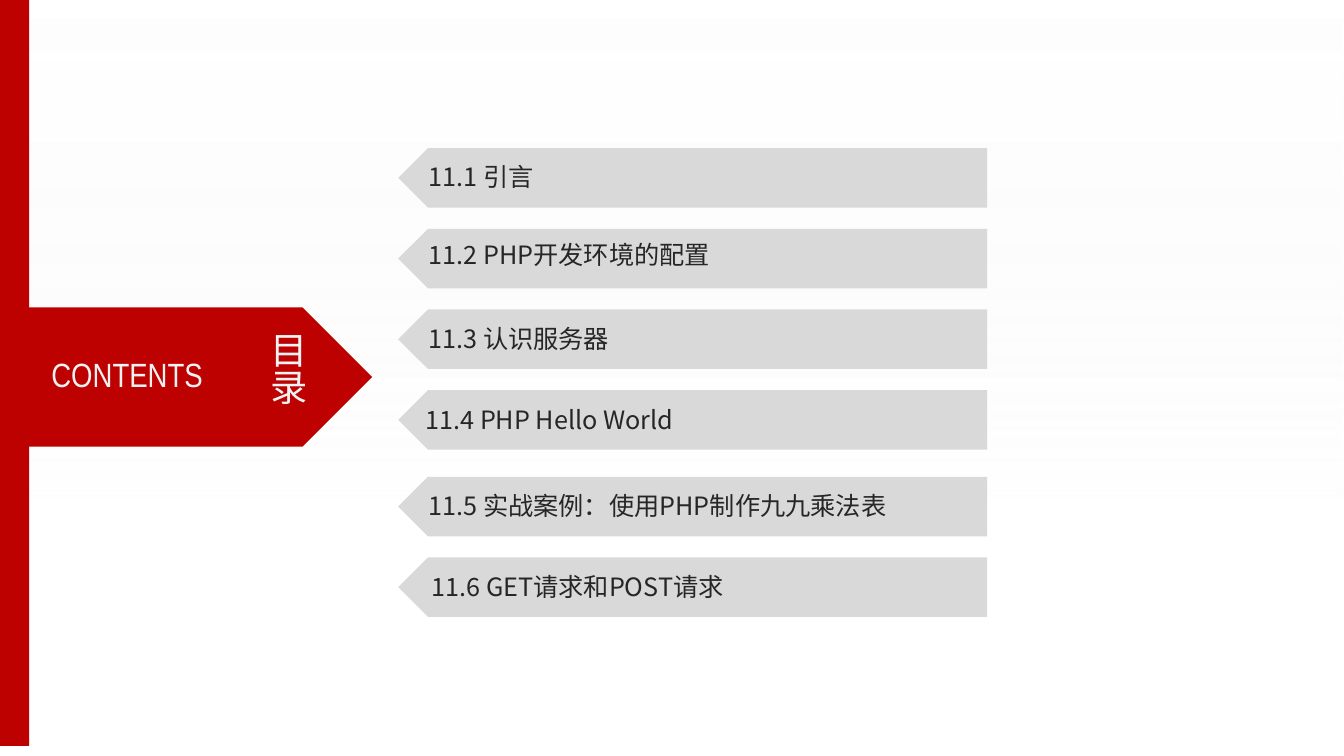
import pptx
import pptx.util
import pptx.dml.color
import pptx.enum.shapes
import pptx.enum.text
import pptx.oxml.ns
from lxml import etree

Inches = pptx.util.Inches
MSO_SHAPE = pptx.enum.shapes.MSO_SHAPE
ANCHOR = pptx.enum.text.MSO_ANCHOR
ALIGN = pptx.enum.text.PP_ALIGN
qn = pptx.oxml.ns.qn

COLORS = {"white": "FFFFFF", "pale": "F2F2F2", "red": "BD0000",
          "bar": "D9D9D9", "ink": "262626"}
CJK = "Noto Sans CJK SC"

# Heading, bar top, text left and text top, measured from the list's corner
CHAPTERS = [
    ("11.1 引言", 0, 0.3, 0.13),
    ("11.2 PHP开发环境的配置", 0.8, 0.3, 0.9),
    ("11.3 认识服务器", 1.6, 0.3, 1.74),
    ("11.4 PHP Hello World", 2.4, 0.27, 2.54),
    ("11.5 实战案例：使用PHP制作九九乘法表", 3.26, 0.3, 3.39),
    ("11.6 GET请求和POST请求", 4.06, 0.33, 4.2),
]


def rgb(name):
    return pptx.dml.color.RGBColor.from_string(COLORS[name])


def add_block(s, kind, x, y, w, h, color):
    sp = s.shapes.add_shape(kind, Inches(x), Inches(y), Inches(w), Inches(h))
    sp.shadow.inherit = False
    sp.line.fill.background()
    sp.fill.solid()
    sp.fill.fore_color.rgb = rgb(color)
    return sp


def add_label(s, text, x, y, w, h, size, font, color, inset=(0, 0), anchor=ANCHOR.MIDDLE):
    tf = s.shapes.add_textbox(Inches(x), Inches(y), Inches(w), Inches(h)).text_frame
    tf.word_wrap = True
    tf.vertical_anchor = anchor
    tf.margin_left = tf.margin_right = Inches(inset[0])
    tf.margin_top = tf.margin_bottom = Inches(inset[1])
    p = tf.paragraphs[0]
    p.text = text
    r = p.runs[0]
    r.font.size = pptx.util.Pt(size)
    r.font.name = font
    r.font.color.rgb = rgb(color)
    etree.SubElement(r.font._element, qn("a:ea"), typeface=font)
    return p


def add_backdrop(s, x, y, w, h):
    sp = add_block(s, MSO_SHAPE.RECTANGLE, x, y, w, h, "white")
    sp.fill.gradient()
    sp.fill.gradient_angle = 270
    stops = [("white", 0, 55), ("pale", 0.71, 0)]
    for stop, (color, position, opacity) in zip(sp.fill.gradient_stops, stops):
        stop.color.rgb = rgb(color)
        stop.position = position
    for clr, (_, _, opacity) in zip(sp._element.spPr.iter(qn("a:srgbClr")), stops):
        etree.SubElement(clr, qn("a:alpha"), val=str(opacity * 1000))


def add_chapter_list(s, x, y, w):
    for text, bar_top, text_left, text_top in CHAPTERS:
        bar = add_block(s, MSO_SHAPE.PENTAGON, x, y + bar_top, w, 0.59, "bar")
        bar._element.spPr.xfrm.set("flipH", "1")
        add_label(s, text, x + text_left, y + text_top, 4.82, 0.3, 18, CJK, "ink")


def add_title_arrow(s, x, y, w, h):
    add_block(s, MSO_SHAPE.PENTAGON, x, y, w, h, "red")
    add_label(s, "CONTENTS", x + 0.51, y + 0.46, 1.8, 0.4, 24, "Arial Narrow", "pale")
    # The narrow box stacks the two characters
    p = add_label(s, "目录", x + 2.57, y + 0.22, 0.59, 0.55, 26.6, CJK, "pale",
                  inset=(0.1, 0.05), anchor=ANCHOR.TOP)
    p.alignment = ALIGN.CENTER
    p.line_spacing = 0.83


def main():
    prs = pptx.Presentation()
    prs.slide_width, prs.slide_height = Inches(13.33), Inches(7.5)
    s = prs.slides.add_slide(prs.slide_layouts[6])
    add_backdrop(s, 0, 0, 13.33, 7.5)
    add_chapter_list(s, 3.95, 1.47, 5.84)
    add_title_arrow(s, 0, 3.05, 3.69, 1.38)
    # Left edge stripe
    add_block(s, MSO_SHAPE.RECTANGLE, 0, 0, 0.29, 7.4, "red")
    prs.save("out.pptx")


if __name__ == "__main__":
    main()
